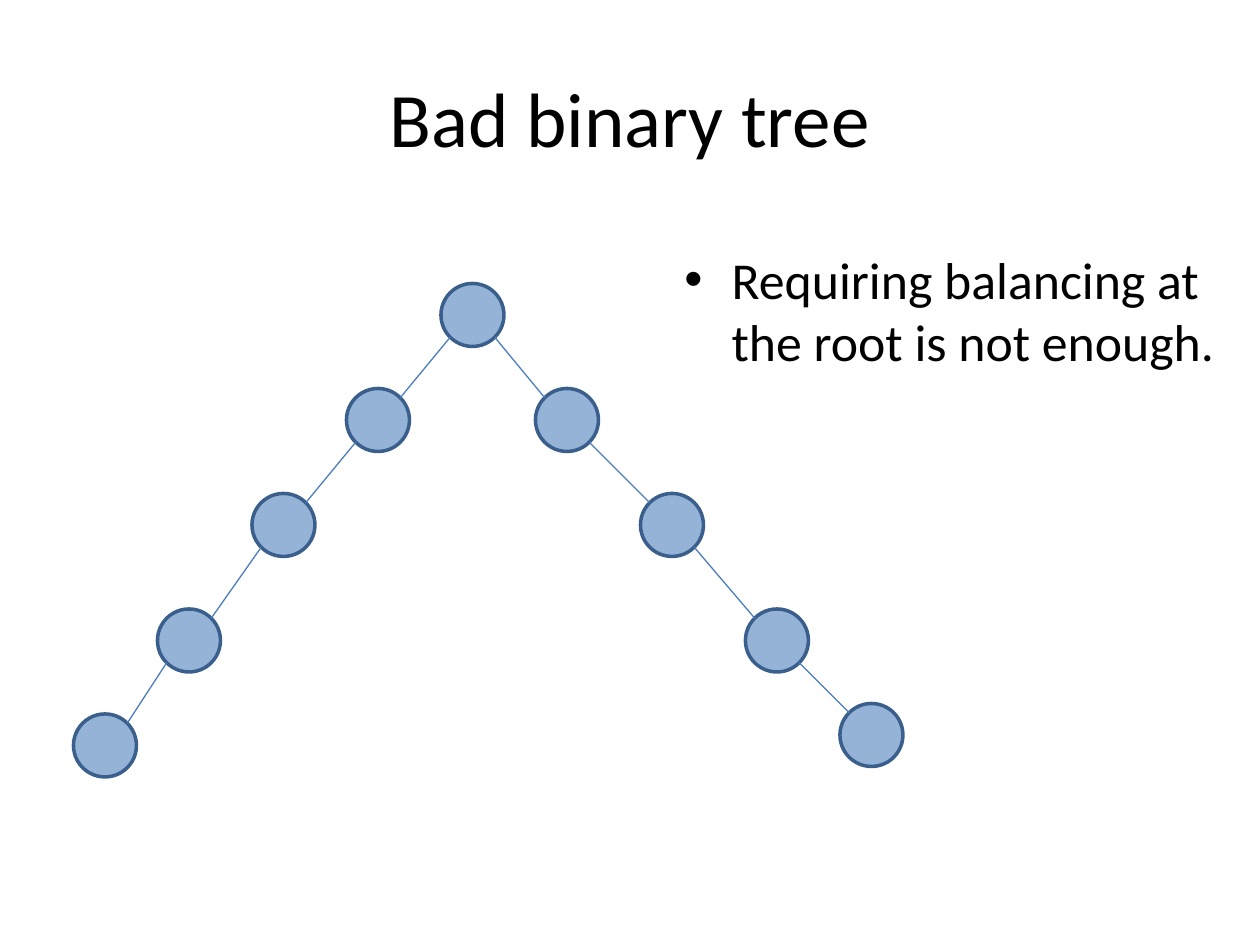
import pptx
import pptx.util
import pptx.dml.color
import pptx.enum.shapes
import pptx.enum.text
import math
from lxml import etree
from pptx.oxml.ns import qn

PX = 7620  # EMU per px, 120 px to the inch
SIZE = 60  # node diameter
FONT = "Calibri"
BLACK = pptx.dml.color.RGBColor(0x00, 0x00, 0x00)
FILL = pptx.dml.color.RGBColor(0x95, 0xB3, 0xD7)
EDGE = pptx.dml.color.RGBColor(0x3A, 0x5F, 0x8C)
LINK = pptx.dml.color.RGBColor(0x4B, 0x7E, 0xBC)

# Top left corners of the nodes, from the root down each branch
ROOT = (420, 270)
LEFT = [ROOT, (330, 370), (240, 470), (150, 580), (70, 680)]
RIGHT = [ROOT, (510, 370), (610, 470), (710, 580), (800, 670)]


def emu(*sizes):
    return [round(size * PX) for size in sizes]


def style(para, size):
    for run in para.runs:
        run.font.name = FONT
        run.font.size = pptx.util.Pt(size)
        run.font.color.rgb = BLACK


def add_title(slide, text):
    title = slide.shapes.title
    title.left, title.top, title.width, title.height = emu(60, 36, 1080, 150)
    frame = title.text_frame
    frame.text = text
    frame.vertical_anchor = pptx.enum.text.MSO_ANCHOR.MIDDLE
    para = frame.paragraphs[0]
    para.alignment = pptx.enum.text.PP_ALIGN.CENTER
    style(para, 44)


def add_bullet(slide, text):
    frame = slide.shapes.add_textbox(*emu(640, 230, 560, 154)).text_frame
    frame.word_wrap = True
    frame.text = text
    para = frame.paragraphs[0]
    style(para, 29.6)
    # Hanging indent and bullet sign
    props = para._p.get_or_add_pPr()
    indent = emu(45)[0]
    props.set("marL", str(indent))
    props.set("indent", str(-indent))
    etree.SubElement(props, qn("a:buFont")).set("typeface", "Arial")
    etree.SubElement(props, qn("a:buChar")).set("char", "•")


def add_node(slide, left, top):
    node = slide.shapes.add_shape(
        pptx.enum.shapes.MSO_SHAPE.OVAL, *emu(left, top, SIZE, SIZE))
    node.shadow.inherit = False
    node.fill.solid()
    node.fill.fore_color.rgb = FILL
    node.line.color.rgb = EDGE
    node.line.width = pptx.util.Pt(2)


def add_link(slide, upper, lower):
    # From the lower diagonal point of one circle to the upper one of the next
    mid = SIZE / 2
    step = mid * math.sqrt(0.5)
    side = step if lower[0] > upper[0] else -step
    link = slide.shapes.add_connector(
        pptx.enum.shapes.MSO_CONNECTOR.STRAIGHT,
        *emu(upper[0] + mid + side, upper[1] + mid + step,
             lower[0] + mid - side, lower[1] + mid - step))
    link.line.color.rgb = LINK
    link.line.width = pptx.util.Pt(0.75)
    etree.SubElement(link._element.spPr, qn("a:effectLst"))


def main():
    deck = pptx.Presentation()
    deck.slide_width, deck.slide_height = emu(1200, 900)
    slide = deck.slides.add_slide(deck.slide_layouts[5])

    # Text
    add_title(slide, "Bad binary tree")
    add_bullet(slide, "Requiring balancing at the root is not enough.")

    # Tree
    add_node(slide, *ROOT)
    for pair in zip(RIGHT[1:], LEFT[1:]):
        for spot in pair:
            add_node(slide, *spot)
    for branch in (RIGHT, LEFT):
        for upper, lower in zip(branch, branch[1:]):
            add_link(slide, upper, lower)

    deck.save("out.pptx")


if __name__ == "__main__":
    main()
